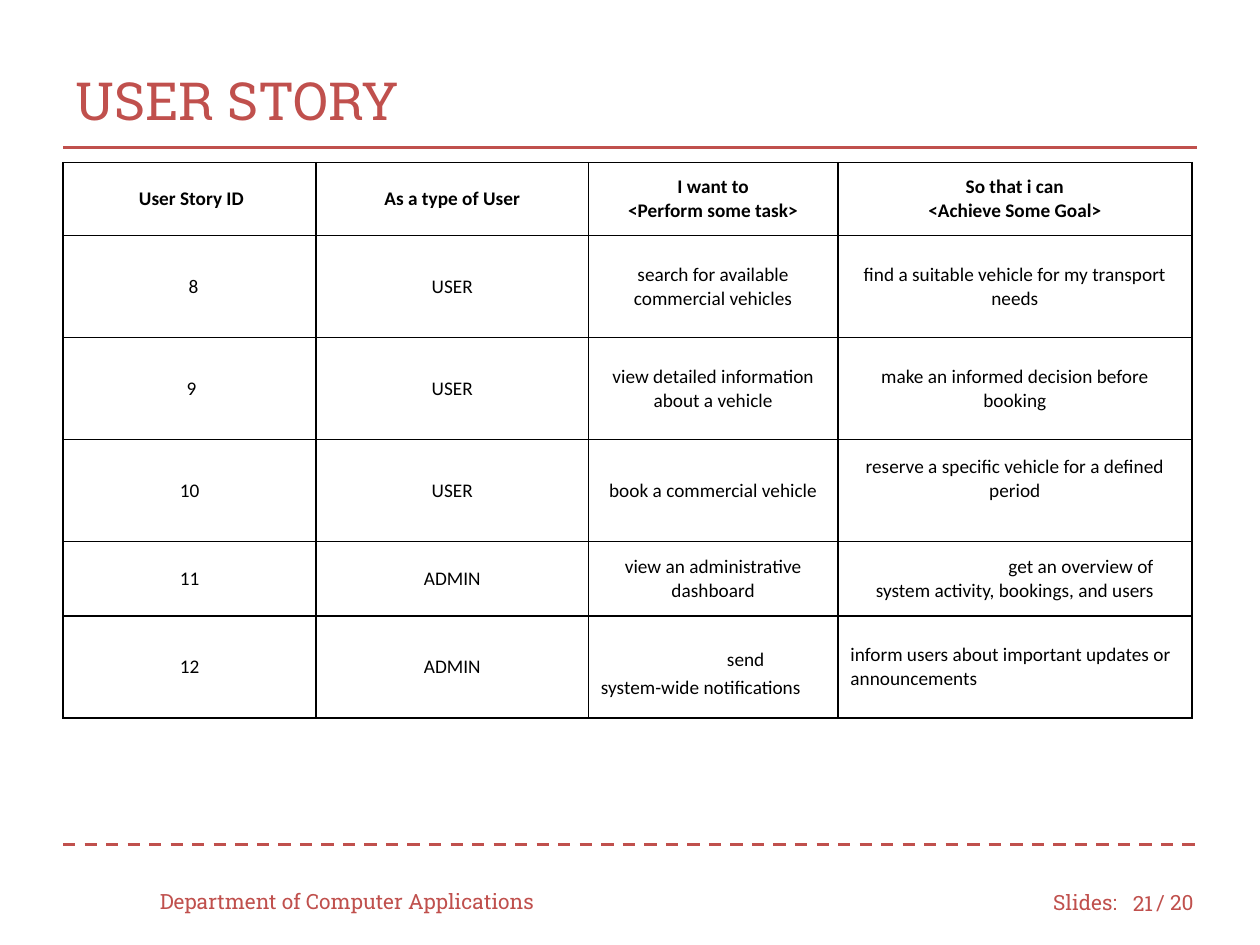
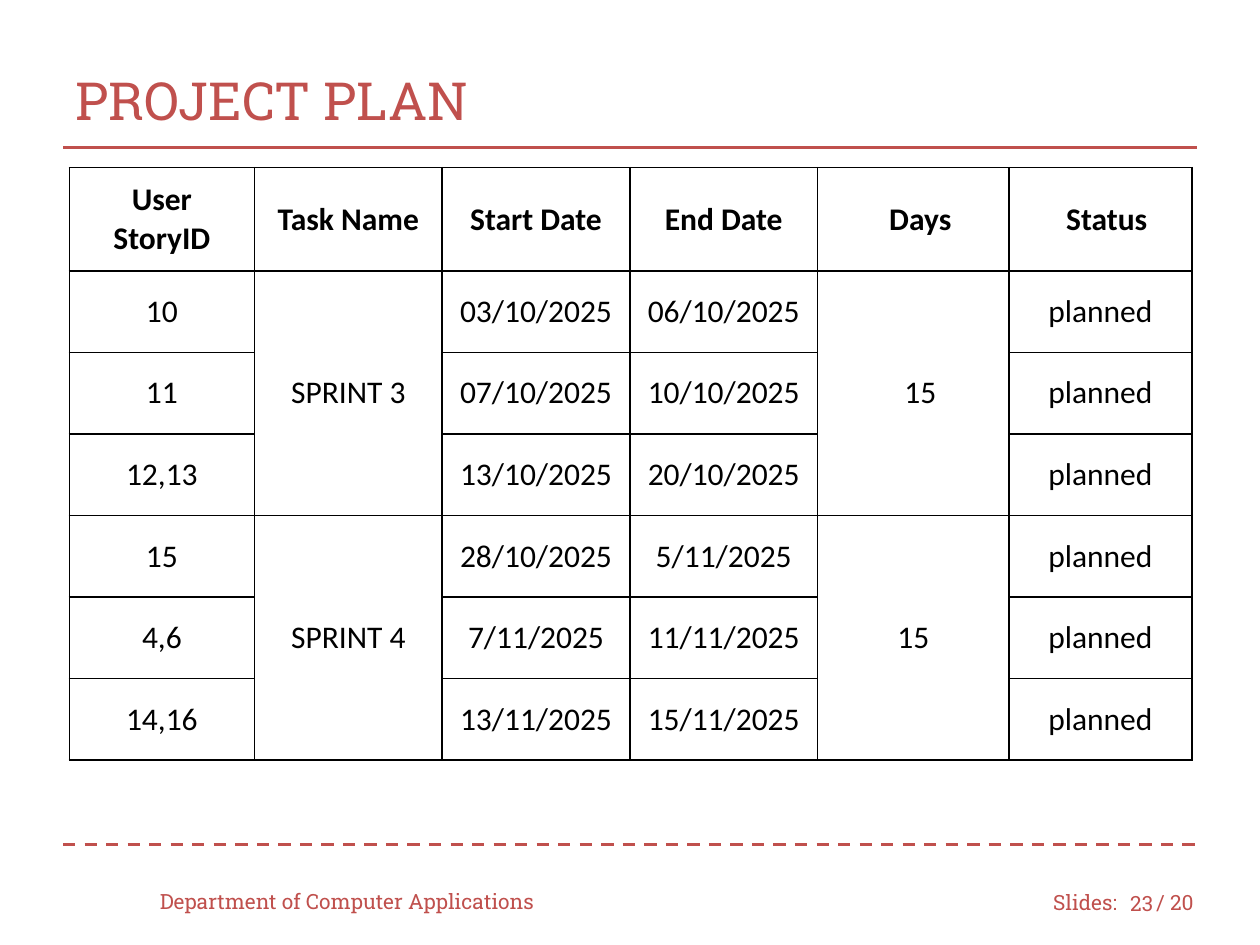
from lxml.etree import SubElement as Sub
from pptx import Presentation
from pptx.dml.color import RGBColor as Rgb
from pptx.enum.dml import MSO_LINE as Dash
from pptx.enum.shapes import MSO_CONNECTOR as Link
from pptx.enum.text import MSO_ANCHOR as Anchor, PP_ALIGN as Align
from pptx.oxml import parse_xml
from pptx.oxml.ns import nsdecls, qn
from pptx.util import Emu, Inches, Pt

WIDE, HIGH = Inches(10), Inches(7.5)
RED, BLACK, WHITE = "C0504D", "000000", "FFFFFF"
SLAB, BODY = "Roboto Slab", "Calibri"

STORIES = [
    ["User Story ID", "As a type of User", "I want to\n<Perform some task>",
     "So that i can\n<Achieve Some Goal>"],
    ["8", "USER", "search for available commercial vehicles",
     "find a suitable vehicle for my transport needs"],
    ["9", "USER", "view detailed information about a vehicle",
     "make an informed decision before booking"],
    ["10", "USER", "book a commercial vehicle",
     "reserve a specific vehicle for a defined period"],
    ["11", "ADMIN", "view an administrative dashboard",
     "get an overview of system activity, bookings, and users"],
    ["12", "ADMIN", "send system-wide notifications",
     "inform users about important updates or announcements"],
]
PLAN = [
    ["User\nStoryID", "Task Name", "Start Date", "End Date", "Days", "Status"],
    ["10", "SPRINT 3", "03/10/2025", "06/10/2025", "15", "planned"],
    ["11", "", "07/10/2025", "10/10/2025", "", "planned"],
    ["12,13", "", "13/10/2025", "20/10/2025", "", "planned"],
    ["15", "SPRINT 4", "28/10/2025", "5/11/2025", "15", "planned"],
    ["4,6", "", "7/11/2025", "11/11/2025", "", "planned"],
    ["14,16", "", "13/11/2025", "15/11/2025", "", "planned"],
]


# Lengths are percent of the slide's width (across) or height (down)
def across(share):
    return Emu(round(WIDE * share / 100))


def down(share):
    return Emu(round(HIGH * share / 100))


def color(code):
    return Rgb.from_string(code)


def style(para, size, face, tint, align=Align.LEFT, bold=False):
    para.alignment = align
    font = para.font
    font.size, font.name, font.bold = Pt(size), face, bold
    font.color.rgb = color(tint)


def label(slide, text, x, y, w, h, size=12, align=Align.LEFT):
    box = slide.shapes.add_textbox(across(x), down(y), across(w), down(h))
    frame = box.text_frame
    frame.word_wrap = True
    frame.vertical_anchor = Anchor.MIDDLE
    frame.text = text
    style(frame.paragraphs[0], size, SLAB, RED, align)


def rule(slide, y, dash=None):
    line = slide.shapes.add_connector(
        Link.STRAIGHT, across(5), down(y), across(95), down(y))
    line.line.color.rgb = color(RED)
    line.line.width = Pt(1.75)
    if dash:
        line.line.dash_style = dash
    Sub(line._element.spPr, qn("a:effectLst"))


def border(cell):
    props = cell._tc.get_or_add_tcPr()
    for side in "LRTB":
        props.append(parse_xml(
            f'<a:ln{side} {nsdecls("a")} w="{Pt(1)}"><a:solidFill>'
            f'<a:srgbClr val="{BLACK}"/></a:solidFill></a:ln{side}>'))


def indent(cell, inches):
    props = cell.text_frame.paragraphs[0]._p.get_or_add_pPr()
    props.set("marL", "0")
    props.set("indent", str(Inches(inches)))


def grid(slide, rows, x, y, cols, highs, size):
    frame = slide.shapes.add_table(len(rows), len(cols), across(x), down(y),
                                   across(sum(cols)), down(sum(highs)))
    table = frame.table
    table.first_row = table.horz_banding = False
    for col, share in zip(table.columns, cols):
        col.width = across(share)
    for row, share in zip(table.rows, highs):
        row.height = down(share)
    for r, row in enumerate(rows):
        for c, text in enumerate(row):
            cell = table.cell(r, c)
            border(cell)
            cell.fill.solid()
            cell.fill.fore_color.rgb = color(WHITE)
            cell.vertical_anchor = Anchor.MIDDLE
            cell.margin_left = cell.margin_right = Inches(0.1)
            cell.margin_top = cell.margin_bottom = Inches(0.1)
            cell.text = text
            for para in cell.text_frame.paragraphs:
                style(para, size, BODY, BLACK, Align.CENTER, r == 0)
    return table


def nudge(table, shifts):
    for (r, c), gap in shifts.items():
        table.cell(r, c).margin_left = Inches(0.1 + gap)


def page(deck, title, number):
    slide = deck.slides.add_slide(deck.slide_layouts[6])
    label(slide, "Slides:", 82.6, 92.8, 7.5, 5.33)
    label(slide, "/ 20", 90.8, 92.8, 5.8, 5.33)
    rule(slide, 89.33, Dash.DASH)
    rule(slide, 15.6)
    label(slide, title, 5, 4.4, 90, 12.27, size=30)
    label(slide, "Department of Computer Applications", 11.7, 92.67, 33.3, 5.33)
    label(slide, number, 88.3, 92.93, 4.2, 5.33, align=Align.RIGHT)
    return slide


def story(deck):
    slide = page(deck, "USER STORY", "21")
    table = grid(slide, STORIES, 5, 17.2, [20.1, 21.6, 19.8, 28.1],
                 [7.73, 10.8, 10.8, 10.8, 7.87, 10.8], 11)
    nudge(table, {(0, 0): 0.03, (1, 0): 0.06, (2, 0): 0.03})
    # Cells set off from the centred pattern
    table.cell(3, 3).margin_bottom = Inches(0.29)
    indent(table.cell(4, 3), 1.05)
    send, inform = table.cell(5, 2), table.cell(5, 3)
    for cell in (send, inform):
        cell.text_frame.paragraphs[0].alignment = Align.LEFT
        cell.margin_top = cell.margin_bottom = Inches(0.05)
    indent(send, 1)
    send.margin_top = Inches(0.13)
    send.text_frame.paragraphs[0].line_spacing = 1.15


def plan(deck):
    slide = page(deck, "PROJECT PLAN", "23")
    table = grid(slide, PLAN, 5.5, 17.73, [14.7, 14.9, 14.9, 14.9, 15.2, 14.5],
                 [10.93] + [8.63] * 6, 18)
    nudge(table, {(0, 4): 0.11, (0, 5): 0.1, (1, 4): 0.11})
    # Each sprint covers three rows
    for top in (1, 4):
        for col in (1, 4):
            table.cell(top, col).merge(table.cell(top + 2, col))


def main():
    deck = Presentation()
    deck.slide_width, deck.slide_height = WIDE, HIGH
    story(deck)
    plan(deck)
    deck.save("out.pptx")


if __name__ == "__main__":
    main()
